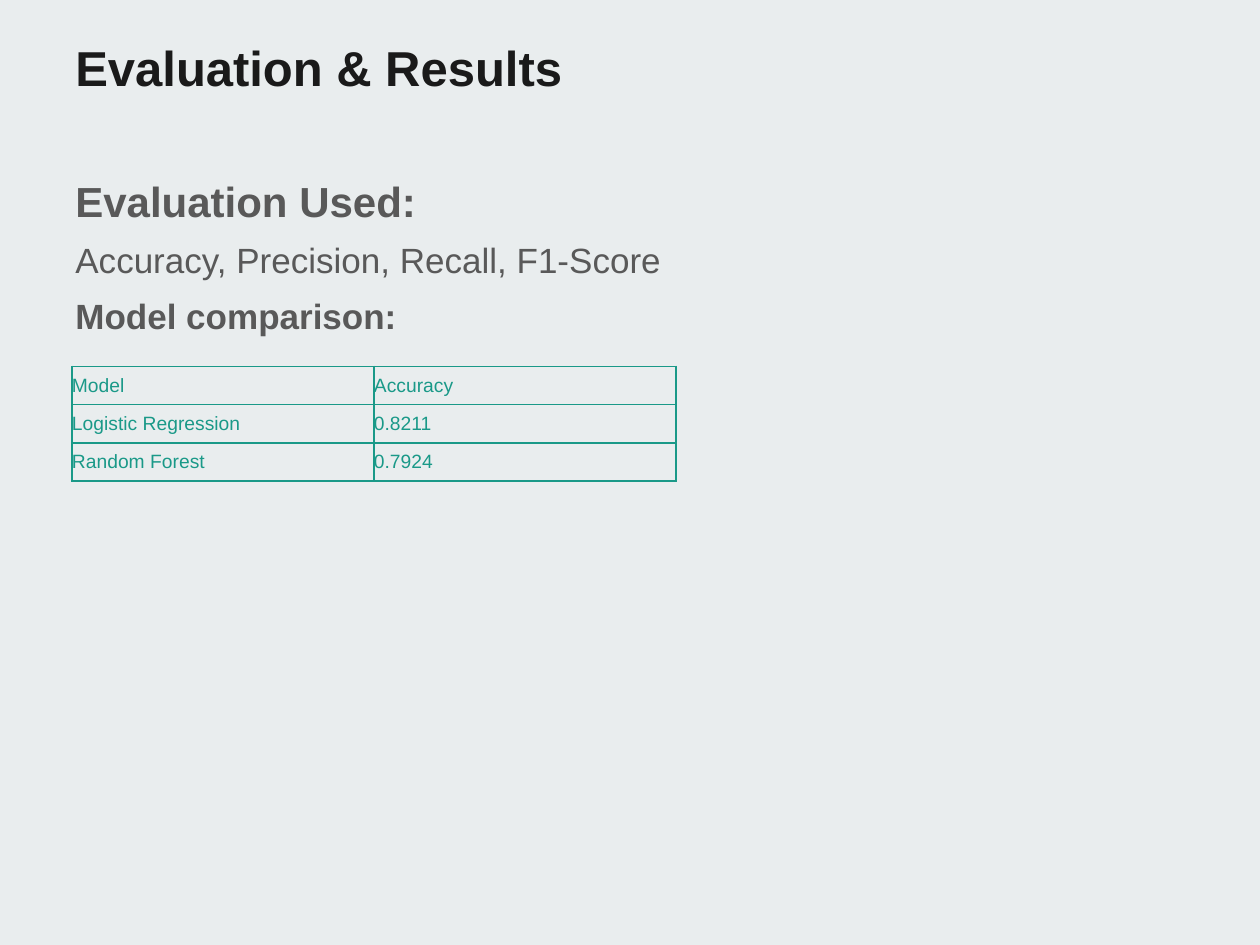
from dataclasses import dataclass

from lxml import etree
from pptx import Presentation
from pptx.dml.color import RGBColor
from pptx.enum.text import MSO_ANCHOR
from pptx.oxml.ns import qn
from pptx.util import Pt

MIDDLE = MSO_ANCHOR.MIDDLE
TOP = MSO_ANCHOR.TOP


@dataclass(frozen=True)
class Theme:
    font: str = "Arial"
    background: str = "E9EDEE"
    title: str = "1A1A1A"
    body: str = "595959"
    accent: str = "1A9988"
    title_size: float = 28
    heading_size: float = 24
    body_size: float = 20
    table_size: float = 11
    border: float = 1


def write(paragraph, text, *, font, size, color, bold=False, spacing=None, before=0):
    run = paragraph.add_run()
    run.text = text
    run.font.name = font
    run.font.size = Pt(size)
    run.font.bold = bold
    run.font.color.rgb = RGBColor.from_string(color)
    paragraph.space_before = Pt(before)
    if spacing:
        paragraph.line_spacing = spacing


class SlideBuilder:
    """Draws text and tables on one slide in a shared theme."""

    def __init__(self, slide, theme):
        self.slide = slide
        self.theme = theme
        fill = slide.background.fill
        fill.solid()
        fill.fore_color.rgb = RGBColor.from_string(theme.background)

    def text(self, lines, left, top, width, height, anchor=TOP):
        box = self.slide.shapes.add_textbox(Pt(left), Pt(top), Pt(width), Pt(height))
        frame = box.text_frame
        frame.word_wrap = True
        frame.vertical_anchor = anchor
        for index, (line, style) in enumerate(lines):
            paragraph = frame.add_paragraph() if index else frame.paragraphs[0]
            write(paragraph, line, font=self.theme.font, **style)

    def table(self, rows, left, top, column_width, row_height):
        columns = len(rows[0])
        frame = self.slide.shapes.add_table(
            len(rows), columns, Pt(left), Pt(top),
            Pt(column_width * columns), Pt(row_height * len(rows)))
        grid = frame.table
        grid.first_row = grid.horz_banding = False
        for column in grid.columns:
            column.width = Pt(column_width)
        for row, values in zip(grid.rows, rows):
            row.height = Pt(row_height)
            for cell, value in zip(row.cells, values):
                self.cell(cell, value)

    def cell(self, cell, value):
        theme = self.theme
        cell.margin_left = cell.margin_right = cell.margin_top = cell.margin_bottom = 0
        cell.vertical_anchor = MIDDLE
        write(cell.text_frame.paragraphs[0], value, font=theme.font,
              size=theme.table_size, color=theme.accent)
        properties = cell._tc.get_or_add_tcPr()
        for edge in ("a:lnL", "a:lnR", "a:lnT", "a:lnB"):
            line = etree.SubElement(properties, qn(edge), w=str(Pt(theme.border)))
            solid = etree.SubElement(line, qn("a:solidFill"))
            etree.SubElement(solid, qn("a:srgbClr"), val=theme.accent)
        cell.fill.background()


def main():
    theme = Theme()
    presentation = Presentation()
    presentation.slide_width, presentation.slide_height = Pt(720), Pt(540)
    builder = SlideBuilder(
        presentation.slides.add_slide(presentation.slide_layouts[6]), theme)

    title = dict(size=theme.title_size, color=theme.title, bold=True)
    heading = dict(size=theme.heading_size, color=theme.body, bold=True, spacing=1.15)
    body = dict(size=theme.body_size, color=theme.body, spacing=1.15, before=4)

    builder.text([("Evaluation & Results", title)], 36, 15.1, 648, 46, anchor=MIDDLE)
    builder.text([
        ("Evaluation Used:", heading),
        ("Accuracy, Precision, Recall, F1-Score", body),
        ("Model comparison:", dict(body, bold=True)),
    ], 36, 92.2, 648, 390)
    builder.table([
        ("Model", "Accuracy"),
        ("Logistic Regression", "0.8211"),
        ("Random Forest", "0.7924"),
    ], 41.1, 209.3, 172.6, 21.9)

    presentation.save("out.pptx")


if __name__ == "__main__":
    main()
